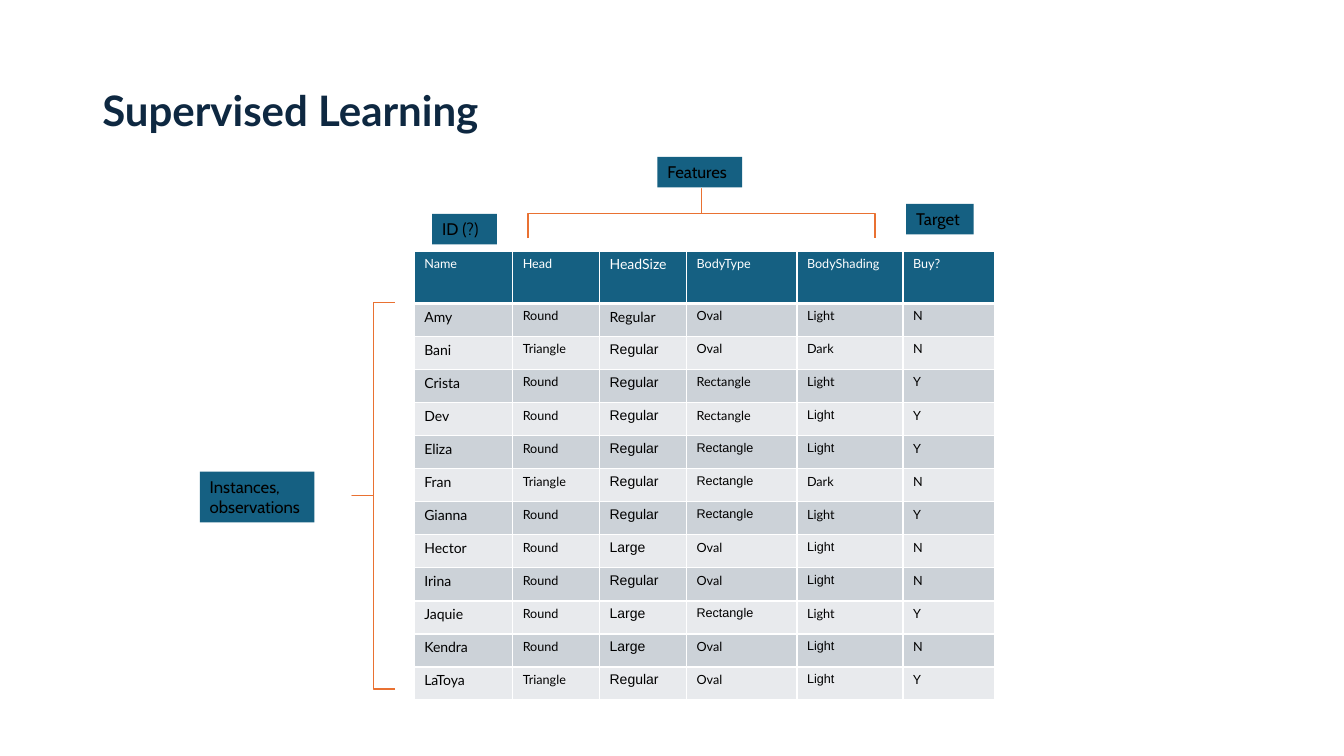
from lxml import etree
from pptx import Presentation
from pptx.dml.color import RGBColor
from pptx.enum import shapes, text
from pptx.oxml.ns import qn
from pptx.util import Pt

THEME = {
    "navy": "0E2841", "teal": "156082", "orange": "E97132",
    "white": "FFFFFF", "black": "000000", "bands": ("CCD2D8", "E8EAED"),
    "body_font": "Lato", "alt_font": "Arial", "label_font": "Cabin",
    "title": 30, "label": 12, "cell": 9, "large_cell": 10,
}

TITLE = "Supervised Learning"
HEADERS = ("Name", "Head", "HeadSize", "BodyType", "BodyShading", "Buy?")
ROWS = [
    ("Amy", "Round", "Regular", "Oval", "Light", "N"),
    ("Bani", "Triangle", "Regular", "Oval", "Dark", "N"),
    ("Crista", "Round", "Regular", "Rectangle", "Light", "Y"),
    ("Dev", "Round", "Regular", "Rectangle", "Light", "Y"),
    ("Eliza", "Round", "Regular", "Rectangle", "Light", "Y"),
    ("Fran", "Triangle", "Regular", "Rectangle", "Dark", "N"),
    ("Gianna", "Round", "Regular", "Rectangle", "Light", "Y"),
    ("Hector", "Round", "Large", "Oval", "Light", "N"),
    ("Irina", "Round", "Regular", "Oval", "Light", "N"),
    ("Jaquie", "Round", "Large", "Rectangle", "Light", "Y"),
    ("Kendra", "Round", "Large", "Oval", "Light", "N"),
    ("LaToya", "Triangle", "Regular", "Oval", "Light", "Y"),
]
# Names whose cell in the given column uses the alternate font
ALT_FONT_CELLS = {
    "HeadSize": {row[0] for row in ROWS[1:]},
    "BodyType": {"Eliza", "Fran", "Gianna", "Jaquie"},
    "BodyShading": {"Dev", "Eliza", "Hector", "Irina", "Kendra", "LaToya"},
}
TABLE_LEFT, TABLE_TOP = 295.92, 179.28
COL_WIDTHS = (70.3, 62.1, 62.1, 78.9, 75.8, 65.3)
HEADER_HEIGHT, ROW_HEIGHT = 37.44, 23.64

# Lines of text, then left, top, width, height
LABELS = [
    (("Target",), (647.3, 145.6, 48.2, 21.8)),
    (("Features",), (469.6, 112, 60.5, 21.8)),
    (("ID (?)",), (308.7, 152.8, 46.2, 21.8)),
    (("Instances,", "observations"), (142.7, 336.8, 81.9, 36.3)),
]
# Rotation, then left, top, width, height before rotation
BRACES = [
    (270, (483.4, 28.6, 35.3, 247.7)),
    (180, (251.4, 216, 30.8, 276)),
]


def rgb(name):
    return RGBColor.from_string(THEME.get(name, name))


def points(box):
    return [Pt(v) for v in box]


def add_run(p, words, font, size, color, bold=False):
    r = p.add_run()
    r.text = words
    r.font.name = font
    r.font.size = Pt(size)
    r.font.bold = bold
    r.font.color.rgb = rgb(color)


def add_title(slide):
    tf = slide.shapes.add_textbox(*points((66, 28.8, 828, 104.4))).text_frame
    tf.word_wrap = True
    tf.vertical_anchor = text.MSO_ANCHOR.MIDDLE
    p = tf.paragraphs[0]
    p.line_spacing = 0.9
    add_run(p, TITLE, THEME["body_font"], THEME["title"], "navy", True)


def set_borders(cell, bottom):
    tc_pr = cell._tc.get_or_add_tcPr()
    sides = (("lnL", 1), ("lnR", 1), ("lnT", 1), ("lnB", bottom))
    for i, (side, width) in enumerate(sides):
        ln = etree.Element(qn(f"a:{side}"), w=str(Pt(width)))
        fill = etree.SubElement(ln, qn("a:solidFill"))
        etree.SubElement(fill, qn("a:srgbClr"), val=THEME["white"])
        tc_pr.insert(i, ln)


def add_data_table(slide):
    height = HEADER_HEIGHT + ROW_HEIGHT * len(ROWS)
    box = (TABLE_LEFT, TABLE_TOP, sum(COL_WIDTHS), height)
    table = slide.shapes.add_table(
        len(ROWS) + 1, len(HEADERS), *points(box)).table
    for col, width in zip(table.columns, COL_WIDTHS):
        col.width = Pt(width)
    for i, values in enumerate([HEADERS] + ROWS):
        is_header = i == 0
        table.rows[i].height = Pt(HEADER_HEIGHT if is_header else ROW_HEIGHT)
        fill = "teal" if is_header else THEME["bands"][(i - 1) % 2]
        for j, (header, value) in enumerate(zip(HEADERS, values)):
            cell = table.cell(i, j)
            cell.fill.solid()
            cell.fill.fore_color.rgb = rgb(fill)
            set_borders(cell, bottom=3 if is_header else 1)
            is_alt = values[0] in ALT_FONT_CELLS.get(header, ())
            is_large = header == "HeadSize" or (
                header == "Name" and not is_header)
            add_run(cell.text_frame.paragraphs[0], value,
                    THEME["alt_font" if is_alt else "body_font"],
                    THEME["large_cell" if is_large else "cell"],
                    "white" if is_header else "black")


def add_label(slide, lines, box):
    sp = slide.shapes.add_shape(shapes.MSO_SHAPE.RECTANGLE, *points(box))
    sp.shadow.inherit = False
    sp.fill.solid()
    sp.fill.fore_color.rgb = rgb("teal")
    sp.line.fill.background()
    tf = sp.text_frame
    tf.word_wrap = False
    tf.auto_size = text.MSO_AUTO_SIZE.SHAPE_TO_FIT_TEXT
    tf.vertical_anchor = text.MSO_ANCHOR.TOP
    for i, line in enumerate(lines):
        p = tf.add_paragraph() if i else tf.paragraphs[0]
        p.alignment = text.PP_ALIGN.LEFT
        add_run(p, line, THEME["label_font"], THEME["label"], "black")


def add_brace(slide, rotation, box):
    sp = slide.shapes.add_shape(shapes.MSO_SHAPE.RIGHT_BRACE, *points(box))
    sp.shadow.inherit = False
    sp.rotation = rotation
    sp.adjustments[0] = 0
    sp.adjustments[1] = 0.5
    sp.fill.background()
    sp.line.color.rgb = rgb("orange")
    sp.line.width = Pt(1)


def main():
    prs = Presentation()
    prs.slide_width, prs.slide_height = Pt(960), Pt(540)
    slide = prs.slides.add_slide(prs.slide_layouts[6])
    add_title(slide)
    add_data_table(slide)
    for lines, box in LABELS:
        add_label(slide, lines, box)
    for rotation, box in BRACES:
        add_brace(slide, rotation, box)
    prs.save("out.pptx")


if __name__ == "__main__":
    main()
